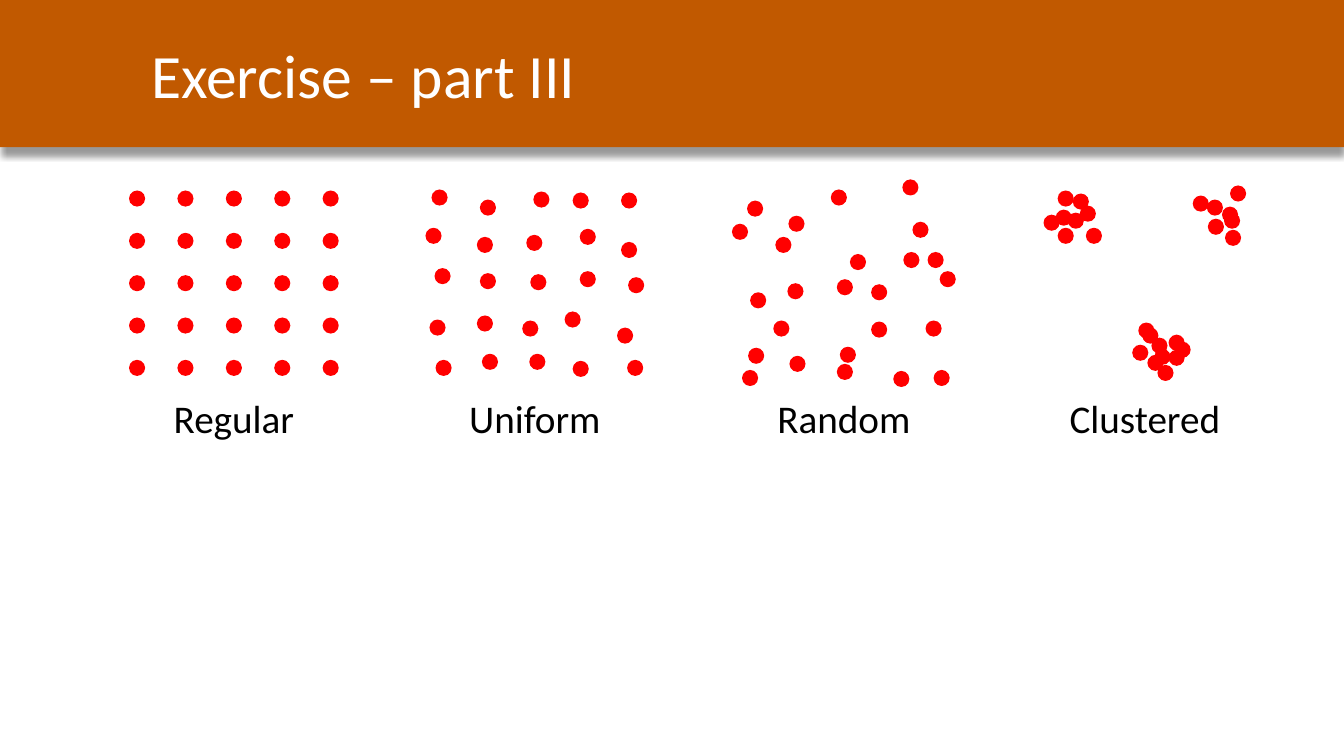
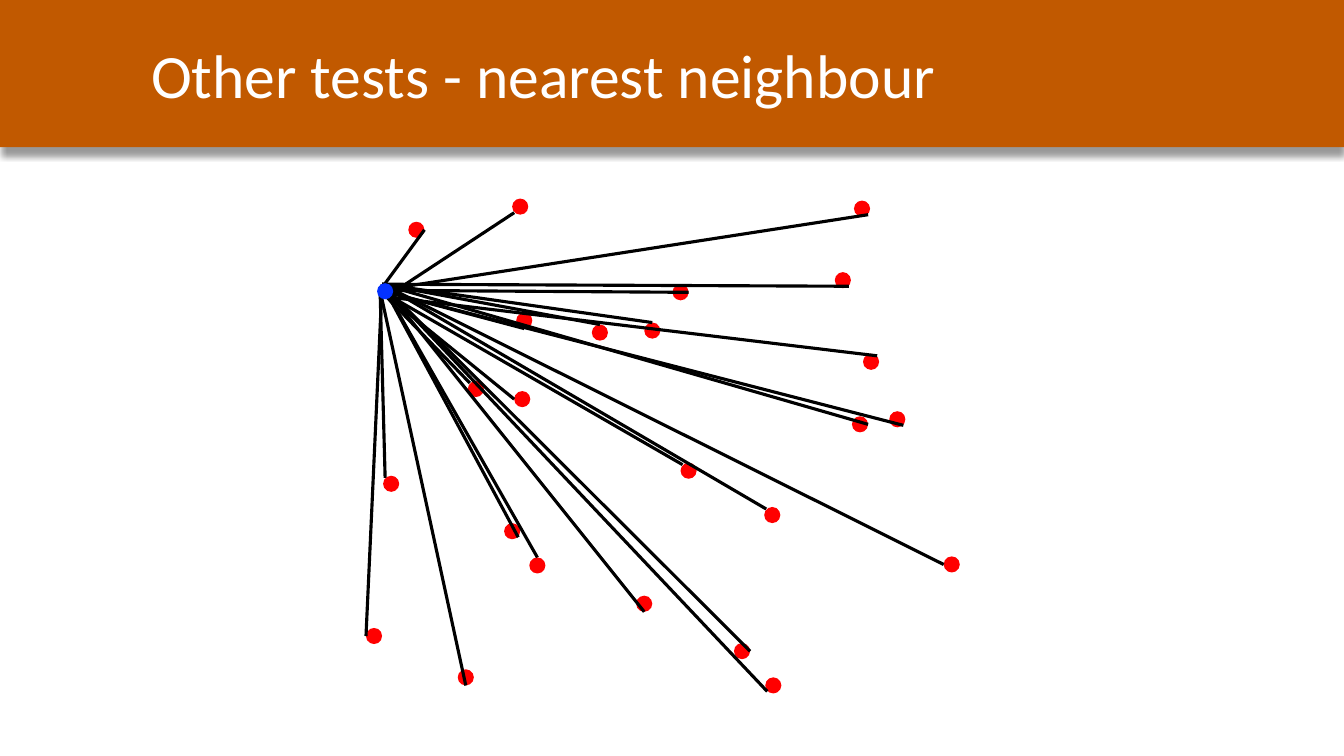
from itertools import product

from lxml import etree
from pptx import Presentation
from pptx.dml.color import RGBColor
from pptx.enum.shapes import MSO_CONNECTOR, MSO_SHAPE
from pptx.enum.text import MSO_ANCHOR, PP_ALIGN
from pptx.oxml.ns import qn
from pptx.util import Inches, Pt

RECTANGLE = MSO_SHAPE.RECTANGLE
ELLIPSE = MSO_SHAPE.OVAL
STRAIGHT = MSO_CONNECTOR.STRAIGHT
MIDDLE = MSO_ANCHOR.MIDDLE
CENTER = PP_ALIGN.CENTER

WIDTH, HEIGHT = 13.33, 7.5
FONT = "Calibri"
ORANGE, WHITE, BLACK = "C15900", "FFFFFF", "000000"
RED, BLUE = "FF0000", "0432FF"
BAND_HEIGHT = 1.46
DOT = 0.16
LABEL_TOP, LABEL_HEIGHT = 3.86, 0.57

REGULAR = [(0.48 * column, 0.42 * row) for row, column in product(range(5), repeat=2)]
UNIFORM = [
    (0.06, 0), (0.54, 0.1), (1.07, 0.02), (1.46, 0.03), (1.94, 0.03),
    (0, 0.38), (0.51, 0.47), (1, 0.45), (1.53, 0.39), (1.94, 0.52),
    (0.09, 0.78), (0.54, 0.83), (1.04, 0.84), (1.53, 0.81), (2.01, 0.87),
    (0.04, 1.29), (0.51, 1.25), (0.96, 1.3), (1.38, 1.21), (1.9, 1.37),
    (0.1, 1.69), (0.56, 1.63), (1.03, 1.63), (1.46, 1.7), (2, 1.69),
]
RANDOM = [
    (0.15, 0.21), (0.56, 0.36), (0.98, 0.1), (1.69, 0), (1.79, 0.42),
    (0, 0.44), (0.43, 0.57), (1.17, 0.74), (1.7, 0.72), (1.94, 0.72),
    (0.18, 1.12), (0.55, 1.03), (1.04, 0.99), (1.38, 1.04), (2.06, 0.91),
    (0.16, 1.67), (0.41, 1.4), (1.07, 1.66), (1.38, 1.41), (1.92, 1.4),
    (0.1, 1.89), (0.57, 1.75), (1.04, 1.83), (1.6, 1.9), (2, 1.89),
]
CLUSTERED = [
    (0.14, 0.05), (0.29, 0.08), (0, 0.29), (0.42, 0.42), (0.14, 0.42),
    (0.24, 0.27), (0.36, 0.2), (0.12, 0.24),
    (1.48, 0.1), (1.77, 0.21), (1.79, 0.27), (1.85, 0), (1.62, 0.14),
    (1.63, 0.33), (1.8, 0.44),
    (0.98, 1.41), (1.24, 1.48), (0.94, 1.36), (0.88, 1.58), (1.07, 1.51),
    (1.3, 1.55), (1.1, 1.62), (1.03, 1.68), (1.24, 1.63), (1.13, 1.78),
]
PANELS = [
    ("Regular", 1.28, 1.89, REGULAR),
    ("Uniform", 4.22, 1.88, UNIFORM),
    ("Random", 7.26, 1.78, RANDOM),
    ("Clustered", 10.35, 1.84, CLUSTERED),
]

SITES = {
    "top": (0.08, 0), "top left": (0.02, 0.02), "left": (0, 0.08),
    "bottom left": (0.02, 0.14), "bottom": (0.08, 0.16),
    "bottom right": (0.14, 0.14), "right": (0.16, 0.08), "top right": (0.14, 0.02),
}
HUB = (0.11, 0.84)
RAY_ORIGIN = (0.14, 0.83)
NEIGHBOURS = [
    (0.42, 0.23, "left", "right"),
    (1.45, 0, "right", "bottom left"),
    (1.49, 1.13, "left", "bottom"),
    (0.17, 2.75, "left", "top left"),
    (1.01, 1.81, "left", "top left"),
    (1.47, 1.91, "left", "left"),
    (1.37, 3.22, "top left", "bottom right"),
    (2.24, 1.25, "top left", "top"),
    (2.76, 1.23, "top left", "top"),
    (3.04, 0.85, "left", "right"),
    (0, 4.26, "top left", "left"),
    (0.91, 4.67, "left", "bottom"),
    (2.68, 3.94, "top left", "bottom"),
    (1.62, 3.56, "top left", "top"),
    (3.12, 2.62, "left", "top left"),
    (3.95, 3.06, "top left", "top left"),
    (3.65, 4.41, "top left", "right"),
    (3.96, 4.75, "top left", "bottom left"),
    (5.73, 3.55, "top left", "left"),
    (4.82, 2.16, "top left", "right"),
    (5.19, 2.11, "left", "bottom right"),
    (4.93, 1.54, "bottom left", "top right"),
    (4.65, 0.73, "top left", "bottom right"),
    (4.84, 0.02, "left", "bottom right"),
]


def colour(value):
    return RGBColor.from_string(value)


def add_filled(shapes, kind, left, top, width, height, fill):
    shape = shapes.add_shape(kind, Inches(left), Inches(top), Inches(width), Inches(height))
    shape.shadow.inherit = False
    shape.fill.solid()
    shape.fill.fore_color.rgb = colour(fill)
    shape.line.fill.background()
    return shape


def add_text(page, left, top, width, height, text, size, fill):
    box = page.shapes.add_textbox(Inches(left), Inches(top), Inches(width), Inches(height))
    box.text_frame.text = text
    font = box.text_frame.paragraphs[0].runs[0].font
    font.name = FONT
    font.size = Pt(size)
    font.color.rgb = colour(fill)
    return box.text_frame


def add_band(page, title):
    band = add_filled(page.shapes, RECTANGLE, 0, 0, WIDTH, BAND_HEIGHT, ORANGE)
    effects = band._element.spPr.find(qn("a:effectLst"))
    shadow = etree.SubElement(
        effects, qn("a:outerShdw"), blurRad=str(Pt(4)), dist=str(Pt(6)),
        dir="5400000", algn="t", rotWithShape="0",
    )
    shade = etree.SubElement(shadow, qn("a:srgbClr"), val=BLACK)
    etree.SubElement(shade, qn("a:alpha"), val="40000")
    frame = add_text(page, 1.4, 0.12, WIDTH - 1.4, 1.22, title, 44, WHITE)
    frame.word_wrap = True
    frame.vertical_anchor = MIDDLE


def add_dots(page, left, top, offsets):
    group = page.shapes.add_group_shape()
    for across, down in offsets:
        add_filled(group.shapes, ELLIPSE, left + across, top + down, DOT, DOT, RED)


def add_panel(page, label, left, top, offsets):
    add_dots(page, left, top, offsets)
    width = max(across for across, down in offsets) + DOT
    frame = add_text(page, left, LABEL_TOP, width, LABEL_HEIGHT, label, 28, BLACK)
    frame.word_wrap = False
    frame.paragraphs[0].alignment = CENTER


def add_ray(shapes, start, end):
    ray = shapes.add_connector(STRAIGHT, *(Inches(value) for value in (*start, *end)))
    ray.line.color.rgb = colour(BLACK)
    ray.line.width = Pt(2.25)
    etree.SubElement(ray._element.spPr, qn("a:effectLst"))


def add_neighbour_map(page, left, top):
    def site_point(dot, site):
        across, down = SITES[site]
        return left + dot[0] + across, top + dot[1] + down

    add_dots(page, left, top, [neighbour[:2] for neighbour in NEIGHBOURS])
    rays = page.shapes.add_group_shape()
    for across, down, start_site, end_site in NEIGHBOURS:
        start = site_point(RAY_ORIGIN, start_site)
        add_ray(rays.shapes, start, site_point((across, down), end_site))
    add_filled(page.shapes, ELLIPSE, left + HUB[0], top + HUB[1], DOT, DOT, BLUE)


def add_page(deck, title):
    page = deck.slides.add_slide(deck.slide_layouts[6])
    add_band(page, title)
    return page


def main():
    deck = Presentation()
    deck.slide_width = Inches(WIDTH)
    deck.slide_height = Inches(HEIGHT)
    patterns = add_page(deck, "Exercise – part III")
    for panel in PANELS:
        add_panel(patterns, *panel)
    distances = add_page(deck, "Other tests - nearest neighbour")
    add_neighbour_map(distances, 3.63, 1.97)
    deck.save("out.pptx")


if __name__ == "__main__":
    main()
